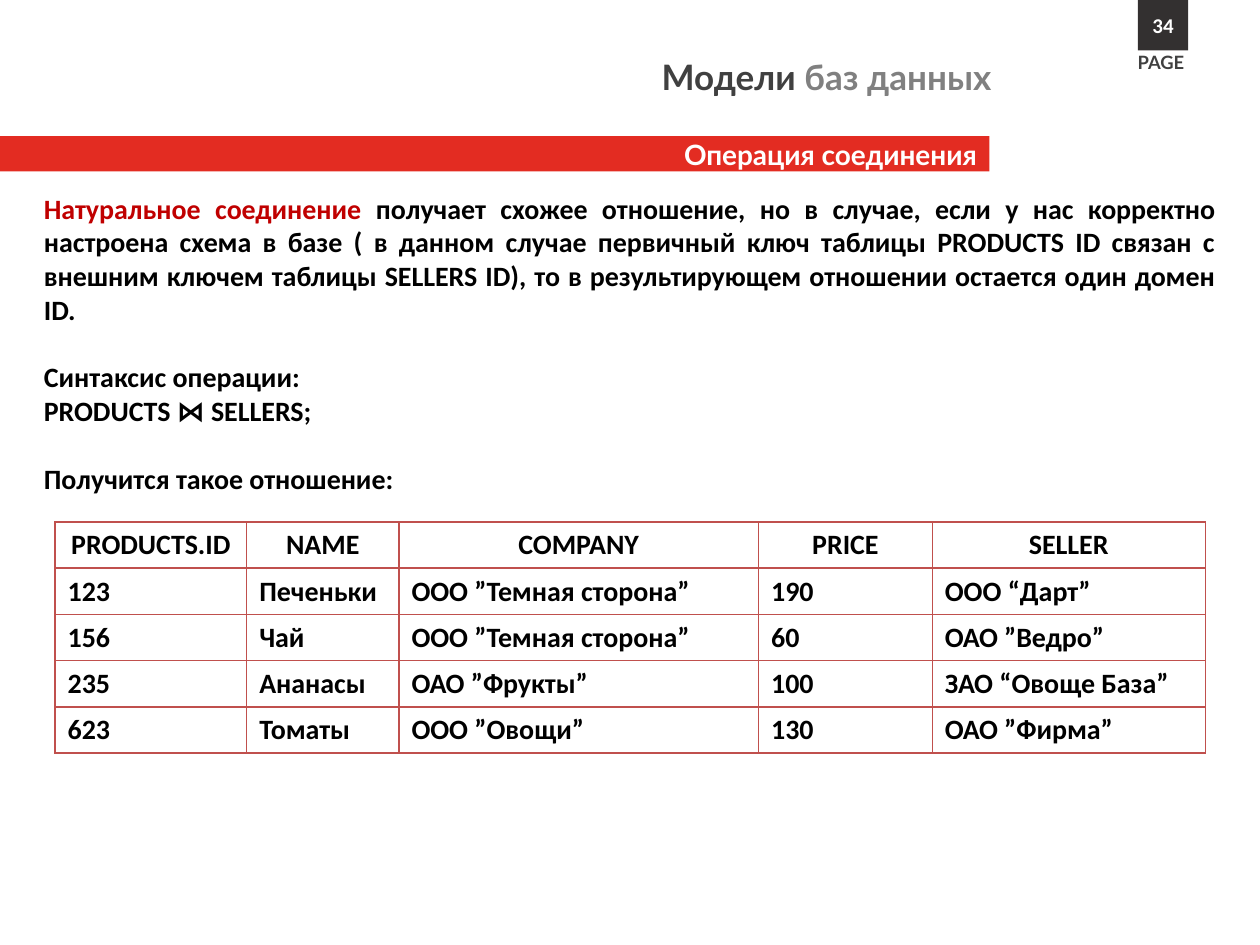
import pptx
import pptx.util
import pptx.dml.color
import pptx.enum.shapes
import pptx.enum.text
import pptx.oxml
import pptx.oxml.ns
from dataclasses import dataclass

Pt = pptx.util.Pt
Align = pptx.enum.text.PP_ALIGN
Anchor = pptx.enum.text.MSO_ANCHOR


@dataclass(frozen=True)
class Theme:
    red: str = "E32C22"
    dark: str = "333030"
    ink: str = "404040"
    grey: str = "808080"
    key: str = "C00000"
    black: str = "000000"
    white: str = "FFFFFF"
    rule: str = "C0504D"
    head: str = "Lato"
    body: str = "Calibri"
    title: float = 20
    text: float = 16
    page: float = 12
    label: float = 10.5
    gap: float = 19.5


T = Theme()

INTRO = (
    "получает схожее отношение, но в случае, если у нас корректно настроена "
    "схема в базе ( в данном случае первичный ключ таблицы PRODUCTS ID связан "
    "с внешним ключем таблицы SELLERS ID), то в результирующем отношении "
    "остается один домен ID."
)
ROWS = [
    ["PRODUCTS.ID", "NAME", "COMPANY", "PRICE", "SELLER"],
    ["123", "Печеньки", "ООО ”Темная сторона”", "190", "OOO “Дарт”"],
    ["156", "Чай", "ООО ”Темная сторона”", "60", "ОАО ”Ведро”"],
    ["235", "Ананасы", "ОАО ”Фрукты”", "100", "ЗАО “Овоще База”"],
    ["623", "Томаты", "ООО ”Овощи”", "130", "ОАО ”Фирма”"],
]
COLS = [109.5, 87, 205.5, 99.3, 156]


def rgb(hue):
    return pptx.dml.color.RGBColor.from_string(hue)


def write(para, runs, size, face, align=Align.LEFT):
    """Add bold runs, given as (text, colour) pairs."""
    para.alignment = align
    for text, hue in runs:
        run = para.add_run()
        run.text = text
        run.font.size = Pt(size)
        run.font.name = face
        run.font.bold = True
        run.font.color.rgb = rgb(hue)


def block(slide, box, hue):
    """Draw a plain filled rectangle and return its text frame."""
    kind = pptx.enum.shapes.MSO_SHAPE.RECTANGLE
    shape = slide.shapes.add_shape(kind, *map(Pt, box))
    shape.shadow.inherit = False
    shape.fill.solid()
    shape.fill.fore_color.rgb = rgb(hue)
    shape.line.fill.background()
    frame = shape.text_frame
    frame.vertical_anchor = Anchor.MIDDLE
    return frame


def title(slide, box):
    shape = slide.shapes.title
    shape.left, shape.top, shape.width, shape.height = map(Pt, box)
    frame = shape.text_frame
    frame.auto_size = pptx.enum.text.MSO_AUTO_SIZE.NONE
    frame.vertical_anchor = Anchor.TOP
    runs = [("Модели ", T.ink), ("баз данных", T.grey)]
    write(frame.paragraphs[0], runs, T.title, T.head, Align.RIGHT)


def banner(slide, box):
    frame = block(slide, box, T.red)
    runs = [("Операция соединения", T.white)]
    write(frame.paragraphs[0], runs, T.text, T.head, Align.RIGHT)


def badge(slide, box):
    """Place the page number square with its label below."""
    left, top, width, height = box
    frame = block(slide, box, T.dark)
    frame.margin_left = frame.margin_right = 0
    write(frame.paragraphs[0], [("34", T.white)], T.page, T.body, Align.CENTER)
    spot = left - 7.2, top + height - 2.9, 42.5, 20
    note = slide.shapes.add_textbox(*map(Pt, spot)).text_frame
    note.word_wrap = False
    write(note.paragraphs[0], [("PAGE", T.ink)], T.label, T.head)


def prose(slide, box):
    frame = slide.shapes.add_textbox(*map(Pt, box)).text_frame
    frame.word_wrap = True
    parts = [
        (0, [("Натуральное соединение ", T.key), (INTRO, T.black)]),
        (T.gap, [("Синтаксис операции:", T.black)]),
        (0, [("PRODUCTS ⋈ SELLERS;", T.black)]),
        (T.gap, [("Получится такое отношение:", T.black)]),
    ]
    for i, (space, runs) in enumerate(parts):
        para = frame.add_paragraph() if i else frame.paragraphs[0]
        para.space_before = Pt(space)
        write(para, runs, T.text, T.body, Align.JUSTIFY)


def border(cell):
    props = cell._tc.get_or_add_tcPr()
    for side in "LRTB":
        props.append(pptx.oxml.parse_xml(
            f'<a:ln{side} {pptx.oxml.ns.nsdecls("a")} w="{Pt(1)}">'
            f'<a:solidFill><a:srgbClr val="{T.rule}"/></a:solidFill>'
            f'</a:ln{side}>'))


def grid(slide, box):
    frame = slide.shapes.add_table(len(ROWS), len(COLS), *map(Pt, box))
    table = frame.table
    table.first_row = table.horz_banding = False
    for col, width in zip(table.columns, COLS):
        col.width = Pt(width)
    for r, row in enumerate(ROWS):
        table.rows[r].height = Pt(box[3] / len(ROWS))
        for c, text in enumerate(row):
            cell = table.cell(r, c)
            border(cell)
            cell.fill.background()
            cell.vertical_anchor = Anchor.MIDDLE
            align = Align.LEFT if r else Align.CENTER
            para = cell.text_frame.paragraphs[0]
            write(para, [(text, T.black)], T.text, T.body, align)


def main():
    deck = pptx.Presentation()
    deck.slide_width, deck.slide_height = Pt(720), Pt(540)
    slide = deck.slides.add_slide(deck.slide_layouts[5])
    banner(slide, (0, 77.8, 565.4, 20.2))
    badge(slide, (650.2, 0, 28.8, 28.8))
    title(slide, (10.8, 28.1, 563, 31.7))
    prose(slide, (18, 105.8, 684, 181.4))
    grid(slide, (31.5, 298.2, sum(COLS), 132))
    deck.save("out.pptx")


if __name__ == "__main__":
    main()
